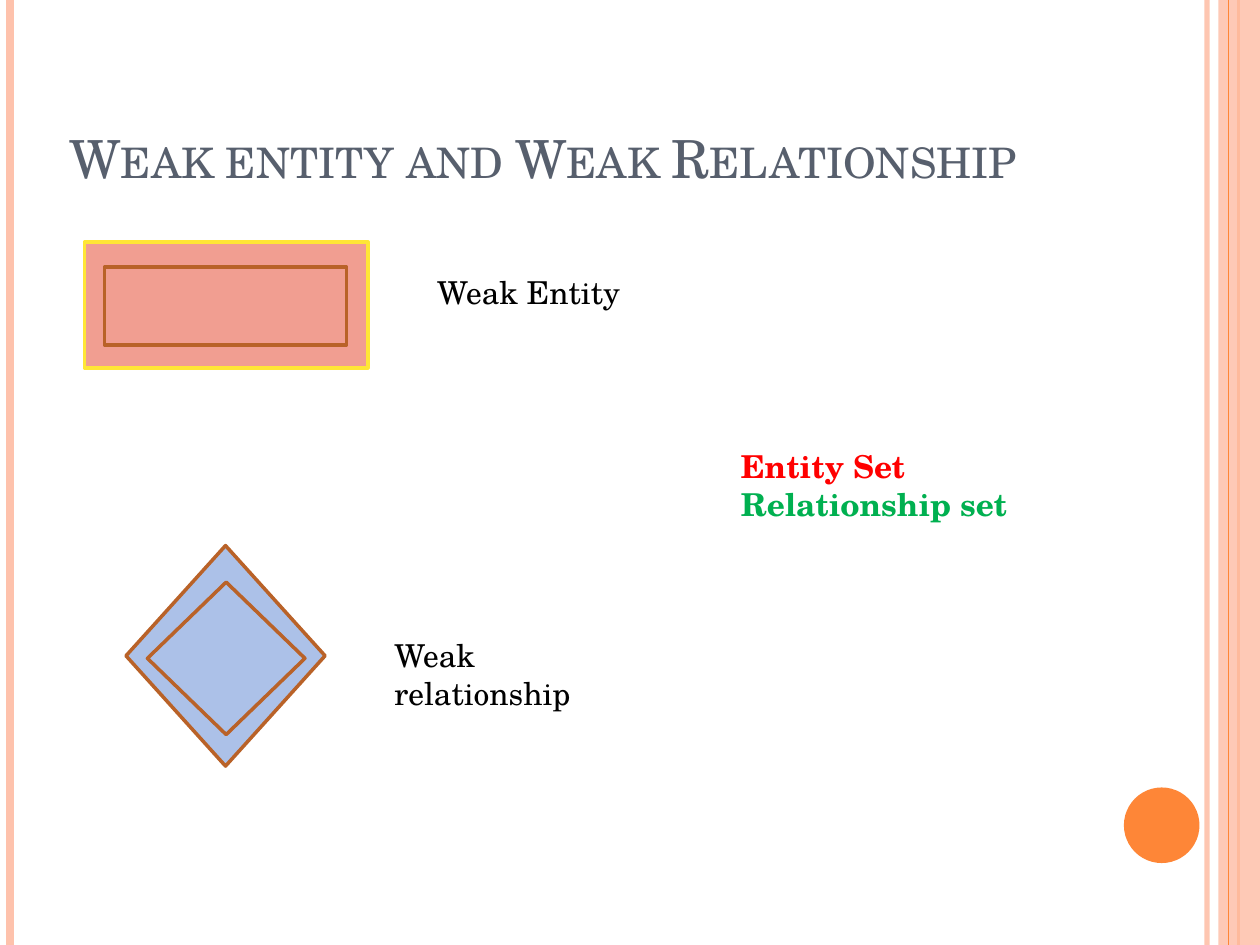
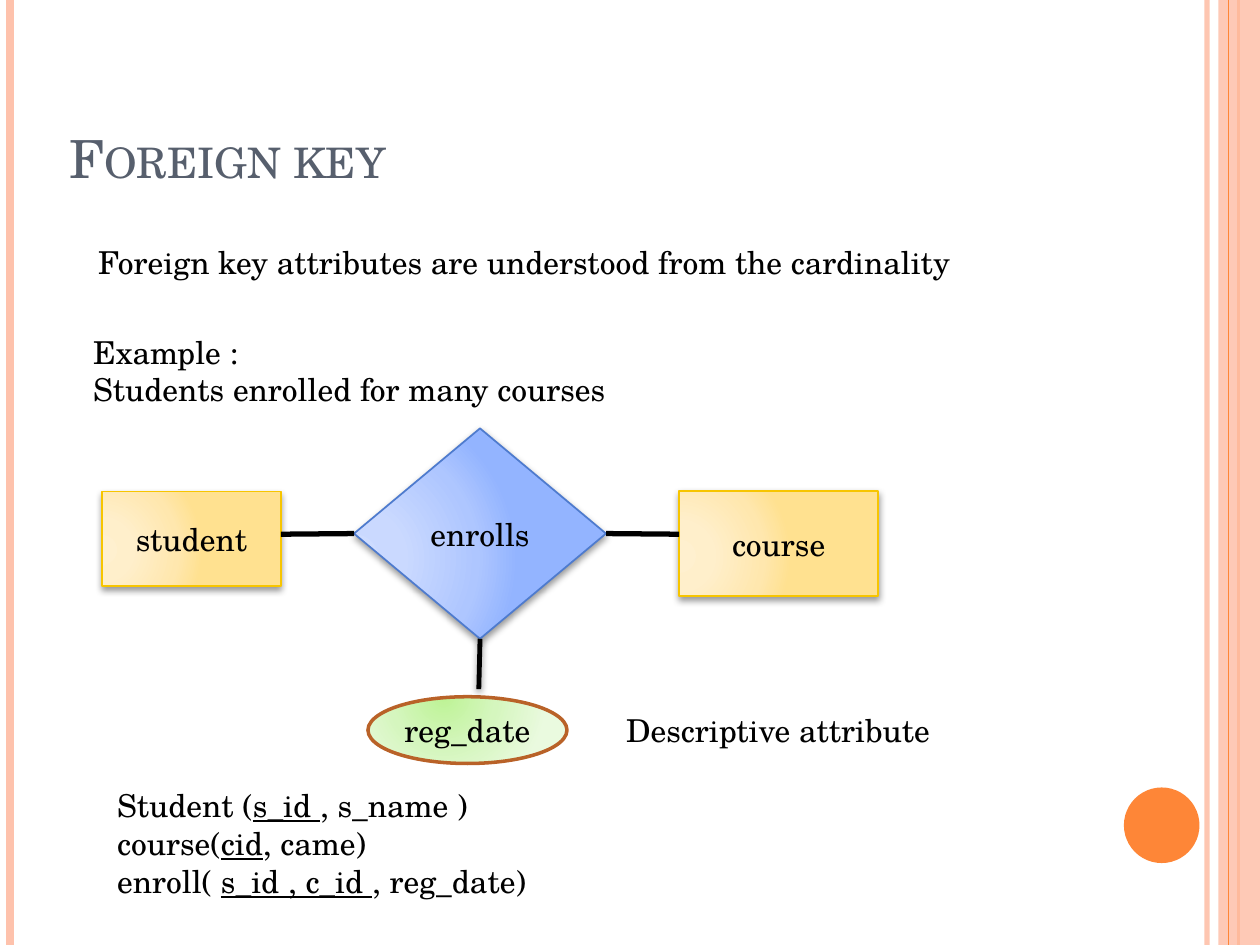
from lxml import etree
from pptx import Presentation
from pptx.dml.color import RGBColor
from pptx.enum.shapes import MSO_CONNECTOR, MSO_SHAPE
from pptx.enum.text import MSO_ANCHOR, MSO_AUTO_SIZE, PP_ALIGN
from pptx.oxml.ns import qn
from pptx.util import Inches, Pt

RECTANGLE, DIAMOND, OVAL = MSO_SHAPE.RECTANGLE, MSO_SHAPE.DIAMOND, MSO_SHAPE.OVAL
STRAIGHT = MSO_CONNECTOR.STRAIGHT
LEFT, CENTER = PP_ALIGN.LEFT, PP_ALIGN.CENTER
TOP, MIDDLE, BOTTOM = MSO_ANCHOR.TOP, MSO_ANCHOR.MIDDLE, MSO_ANCHOR.BOTTOM
NO_FIT, GROW = MSO_AUTO_SIZE.NONE, MSO_AUTO_SIZE.SHAPE_TO_FIT_TEXT

FONT = "TeX Gyre Schola"
WIDTH, HEIGHT = 10, 7.5
COLORS = {
    "title": "575F6D", "text": "000000", "red": "FF0000", "green": "00B050",
    "peach": "FEC2AC", "orange": "FE8637", "salmon": "F19E91",
    "yellow": "FFE636", "brown": "B96228", "pale blue": "ACC1E8",
    "gold": "F7C500", "blue": "4E7BCE",
}

# Shared frame: x, colour, width in points, opacity in percent
RULES = [(9.58, "peach", 3, 93), (0.08, "peach", 4.5, 100),
         (9.83, "orange", 1.5, 100), (9.75, "orange", 0.75, 100)]
BAND = (9.67, 0, 0.33, HEIGHT)
BADGE = (8.92, 6.25, 0.6, 0.6)
TITLE_AT = (0.5, 0.3, 8.17, 1.25)

# Gradients: stops by percent, and the focus (left, top, right, bottom)
SIDE, ABOVE = (-20, 62, 120, 38), (38, -20, 62, 120)
GRADIENTS = {
    "entity": ({0: "FFF0CF", 30: "FFEFCB", 75: "FFE7AE", 100: "FFE190"}, SIDE),
    "relation": ({0: "CEDCFF", 30: "CAD9FF", 75: "AEC6FF", 100: "93B4FF"}, SIDE),
    "attribute": ({0: "BDF395", 50: "D5F6BE", 100: "EAFADF"}, ABOVE),
}

# Slide 1: kind, place, fill, outline
WEAK_TITLE = "Weak entity and Weak Relationship"
WEAK_SHAPES = [
    (RECTANGLE, (0.67, 1.92, 2.25, 1), "salmon", "yellow"),
    (RECTANGLE, (0.83, 2.12, 1.92, 0.62), "salmon", "brown"),
    (DIAMOND, (1, 4.33, 1.58, 1.75), "pale blue", "brown"),
    (DIAMOND, (1.17, 4.62, 1.25, 1.21), "pale blue", "brown"),
]
# Texts: place, wrap, paragraphs of (text, format) spans
WEAK_TEXTS = [
    ((3.08, 5, 1.75, 0.71), True, [[("Weak relationship", {})]]),
    ((3.42, 2.12, 1.75, 0.41), True, [[("Weak Entity", {})]]),
    ((5.83, 3.5, 2.88, 0.71), True, [
        [("Entity Set", {"bold": True, "color": "red"})],
        [("Relationship set", {"bold": True, "color": "green"})]]),
]

# Slide 2: name, kind, place, fill, outline, outline width, shadow
KEY_TITLE = "Foreign key"
KEY_SHAPES = [
    ("student", RECTANGLE, (0.81, 3.9, 1.42, 0.75), "entity", "gold", 1, True),
    ("course", RECTANGLE, (5.39, 3.9, 1.58, 0.83), "entity", "gold", 1, True),
    ("enrolls", DIAMOND, (2.81, 3.4, 2, 1.67), "relation", "blue", 1, True),
    ("reg_date", OVAL, (2.92, 5.53, 1.58, 0.53), "attribute", "brown", 2, False),
]
# Links from the diamond: its connection site, far end, width, shadow
LINKS = [(1, (2.23, 4.24), 3, False), (3, (5.39, 4.24), 3, False),
         (2, (3.8, 5.47), 2.75, True)]
KEY = {"underline": True}
KEY_TEXTS = [
    ((0.73, 1.88, 6.97, 0.41), False,
     [[("Foreign key attributes are understood from the cardinality", {})]]),
    ((0.88, 6.19, 4.32, 1.02), True, [
        [("Student (", {}), ("s_id ", KEY), (", s_name )", {})],
        [("course(", {}), ("cid", KEY), (", came)", {})],
        [("enroll( ", {}), ("s_id , c_id ", KEY), (", reg_date)", {})]]),
    ((0.69, 2.59, 4.7, 0.71), True,
     [[("Example :", {})], [("Students enrolled for many courses", {})]]),
    ((4.92, 5.59, 2.54, 0.41), False, [[("Descriptive attribute", {})]]),
]


def rgb(name):
    return RGBColor.from_string(COLORS[name])


def inches(values):
    return [Inches(value) for value in values]


def child(parent, tag, **attributes):
    """Append a drawing element with the given attributes."""
    element = etree.SubElement(parent, qn("a:" + tag))
    for key, value in attributes.items():
        element.set(key, str(value))
    return element


def set_opacity(properties, percent):
    color = next(properties.iter(qn("a:srgbClr")))
    child(color, "alpha", val=percent * 1000)


def set_gradient(shape, name):
    stops, focus = GRADIENTS[name]
    shape.fill.background()
    empty = shape._element.spPr.find(qn("a:noFill"))
    gradient = etree.Element(qn("a:gradFill"), rotWithShape="1")
    stop_list = child(gradient, "gsLst")
    for percent, color in stops.items():
        child(child(stop_list, "gs", pos=percent * 1000), "srgbClr", val=color)
    circle = child(gradient, "path", path="circle")
    child(circle, "fillToRect",
          **{side: value * 1000 for side, value in zip("ltrb", focus)})
    empty.getparent().replace(empty, gradient)


def add_shadow(effects, distance, opacity):
    shadow = child(effects, "outerShdw", blurRad=Pt(4), dist=Pt(distance),
                   dir=90 * 60000, rotWithShape=0)
    child(child(shadow, "srgbClr", val="000000"), "alpha", val=opacity * 1000)


def write(frame, paragraphs, anchor=TOP, wrap=True, fit=NO_FIT, align=LEFT,
          size=18, color="text"):
    layout = {"vertical_anchor": anchor, "word_wrap": wrap, "auto_size": fit}
    for side in ("left", "top", "right", "bottom"):
        layout["margin_" + side] = Inches(0.05)
    for key, value in layout.items():
        setattr(frame, key, value)
    for index, spans in enumerate(paragraphs):
        para = frame.add_paragraph() if index else frame.paragraphs[0]
        para.alignment = align
        for text, changes in spans:
            span = para.add_run()
            span.text = text
            look = {"name": FONT, "size": Pt(size), **changes}
            span.font.color.rgb = rgb(look.pop("color", color))
            for key, value in look.items():
                setattr(span.font, key, value)


def add_shape(page, kind, place, fill, outline=None, width=2):
    shape = page.shapes.add_shape(kind, *inches(place))
    shape.shadow.inherit = False
    if fill in GRADIENTS:
        set_gradient(shape, fill)
    else:
        shape.fill.solid()
        shape.fill.fore_color.rgb = rgb(fill)
    if outline:
        shape.line.color.rgb = rgb(outline)
        shape.line.width = Pt(width)
    else:
        shape.line.fill.background()
    return shape


def add_line(page, start, end, color, width):
    """Draw a straight line; give back the line and its effect list."""
    line = page.shapes.add_connector(STRAIGHT, *inches((*start, *end)))
    line.line.color.rgb = rgb(color)
    line.line.width = Pt(width)
    return line, child(line._element.spPr, "effectLst")


def add_texts(page, texts):
    for place, wrap, paragraphs in texts:
        box = page.shapes.add_textbox(*inches(place))
        write(box.text_frame, paragraphs, wrap=wrap, fit=GROW)


def add_page(deck, layout, title):
    page = deck.slides.add_slide(layout)
    write(page.shapes.title.text_frame, [[(title, {})]], anchor=BOTTOM,
          size=30, color="title")
    for span in page.shapes.title.text_frame.paragraphs[0].runs:
        span.font._element.set("cap", "small")
    return page


def move_frame_to_layout(page, layout):
    """Draw the side rules, band and badge, then hand them to the layout."""
    parts = []
    for x, color, width, opacity in RULES:
        line, _ = add_line(page, (x, 0), (x, HEIGHT), color, width)
        if opacity < 100:
            set_opacity(line._element.spPr, opacity)
        parts.append(line)
    band = add_shape(page, RECTANGLE, BAND, "peach")
    set_opacity(band._element.spPr, 87)
    parts.insert(3, band)
    parts.append(add_shape(page, OVAL, BADGE, "orange"))
    for number, part in enumerate(parts):
        part._element.nvXxPr.cNvPr.set("id", str(100 + number)) if hasattr(
            part._element, "nvXxPr") else None
        layout.shapes._spTree.insert(2 + number, part._element)


def main():
    deck = Presentation()
    deck.slide_width, deck.slide_height = inches((WIDTH, HEIGHT))
    layout = deck.slide_layouts.get_by_name("Title Only")
    heading = layout.placeholders[0]
    for key, value in zip(("left", "top", "width", "height"), TITLE_AT):
        setattr(heading, key, Inches(value))

    # Weak entity and weak relationship symbols
    page = add_page(deck, layout, WEAK_TITLE)
    move_frame_to_layout(page, layout)
    for symbol in WEAK_SHAPES:
        add_shape(page, *symbol)
    add_texts(page, WEAK_TEXTS)

    # Enrolment diagram
    page = add_page(deck, layout, KEY_TITLE)
    nodes = {}
    for name, kind, place, fill, outline, width, shaded in KEY_SHAPES:
        node = add_shape(page, kind, place, fill, outline, width)
        write(node.text_frame, [[(name, {})]], anchor=MIDDLE, wrap=False,
              align=CENTER)
        if shaded:
            add_shadow(node._element.spPr.find(qn("a:effectLst")), 2, 40)
        nodes[name] = node
    for site, end, width, shaded in LINKS:
        link, effects = add_line(page, end, end, "text", width)
        link.begin_connect(nodes["enrolls"], site)
        if shaded:
            add_shadow(effects, 1.6, 42)
    add_texts(page, KEY_TEXTS)
    deck.save("out.pptx")


if __name__ == "__main__":
    main()
